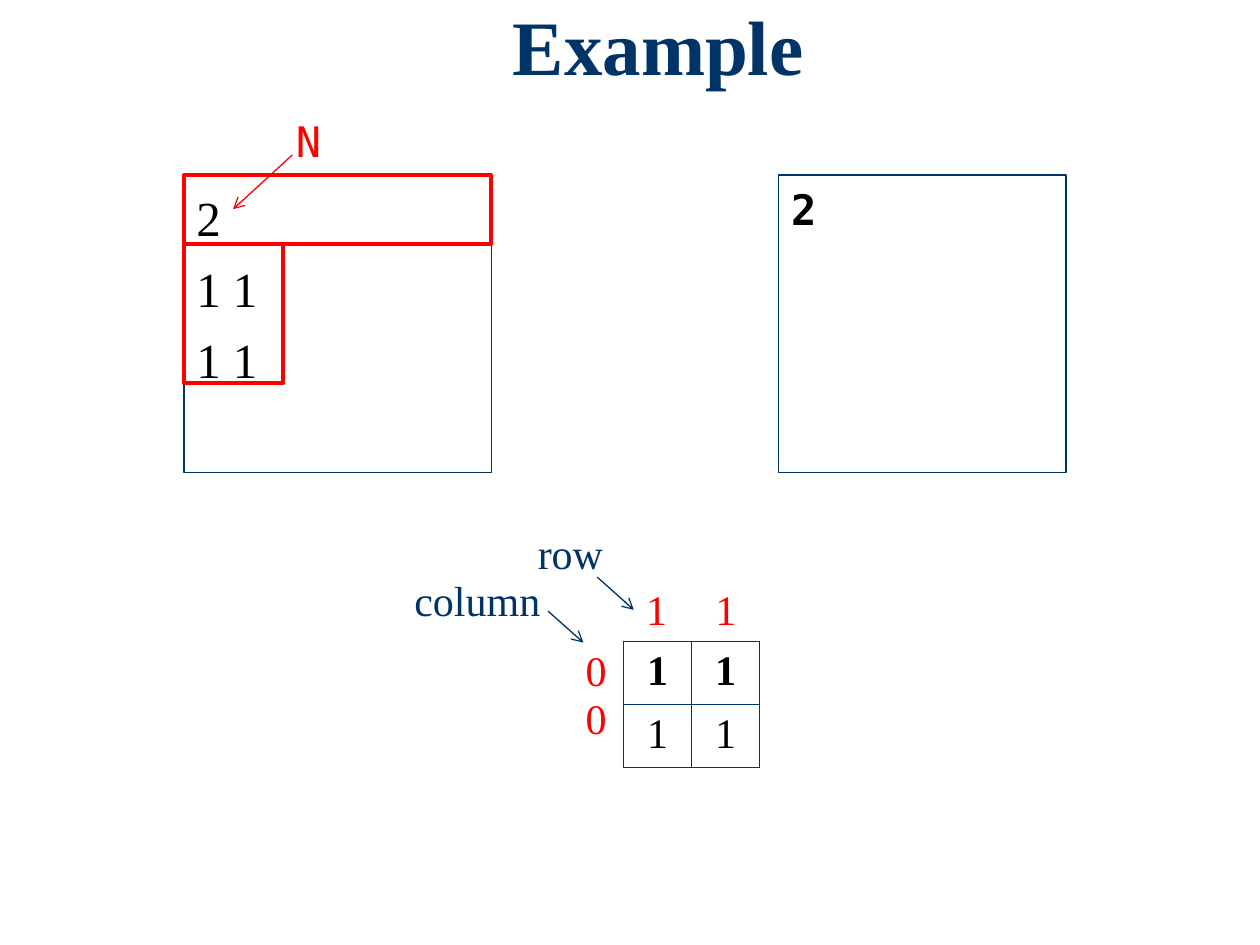
import pptx
import pptx.util
import pptx.dml.color
import pptx.enum.shapes
import pptx.enum.text
import pptx.oxml.ns
from lxml import etree

Inches, Pt = pptx.util.Inches, pptx.util.Pt
SHAPE = pptx.enum.shapes.MSO_SHAPE
ALIGN = pptx.enum.text.PP_ALIGN
ANCHOR = pptx.enum.text.MSO_ANCHOR
qn = pptx.oxml.ns.qn

THEME = {
    "navy": "003366", "red": "FF0000", "black": "000000", "white": "FFFFFF",
    "serif": "Times New Roman", "mono": "DejaVu Sans Mono",
    "title": 44, "input": 28, "label": 24,
    "thin": 0.75, "grid": 1, "thick": 2.25,
}

# Content: positions are in inches
TITLE = "Example"
BOX_TOP, BOX_H = 1.39, 2.36
INPUT_X, INPUT_W = 1.46, 2.44
OUTPUT_X, OUTPUT_W = 6.18, 2.28
INPUT_LINES = ["2", "1 1", "1 1"]
OUTPUT_LINES = ["2"]
LINE_H = 0.55
HIGHLIGHTS = [(0, 1, INPUT_W), (1, 2, 0.79)]  # first line, line count, width
MATRIX = [["1", "1"], ["1", "1"]]
MATRIX_X, MATRIX_Y, COL_W, ROW_H = 4.95, 5.09, 0.54, 0.5
LABELS = [  # text, left, top, width, colour, font
    ("N", 2.25, 0.87, 0.45, "red", "mono"),
    ("1", 5.03, 4.58, 0.37, "red", "serif"),
    ("1", 5.58, 4.58, 0.37, "red", "serif"),
    ("0", 4.55, 5.07, 0.37, "red", "serif"),
    ("0", 4.55, 5.45, 0.37, "red", "serif"),
    ("row", 4.17, 4.14, 0.73, "navy", "serif"),
    ("column", 3.19, 4.51, 1.21, "navy", "serif"),
]
ARROWS = [  # x1, y1, x2, y2, colour
    (2.32, 1.23, 1.85, 1.66, "red"),
    (4.74, 4.58, 5.03, 4.84, "navy"),
    (4.35, 4.85, 4.63, 5.10, "navy"),
]


def rgb(name):
    return pptx.dml.color.RGBColor.from_string(THEME[name])


def write(tf, lines, size="label", color="black", font="serif", bold=False,
          align=ALIGN.LEFT, gap=0, spacing=None):
    for i, line in enumerate(lines):
        p = tf.add_paragraph() if i else tf.paragraphs[0]
        p.alignment = align
        p.space_before = Pt(gap if i else 0)
        if spacing:
            p.line_spacing = spacing
        r = p.add_run()
        r.text = line
        r.font.size, r.font.bold = Pt(THEME[size]), bold
        r.font.name, r.font.color.rgb = THEME[font], rgb(color)


def add_box(s, x, y, w, h, line, weight, fill=None):
    sp = s.shapes.add_shape(SHAPE.RECTANGLE, Inches(x), Inches(y), Inches(w), Inches(h))
    sp.shadow.inherit = False
    if fill:
        sp.fill.solid()
        sp.fill.fore_color.rgb = rgb(fill)
    else:
        sp.fill.background()
    sp.line.color.rgb, sp.line.width = rgb(line), Pt(THEME[weight])
    return sp


def add_panel(s, x, w, lines, inset, **fmt):
    tf = add_box(s, x, BOX_TOP, w, BOX_H, "navy", "thin", "white").text_frame
    tf.word_wrap, tf.vertical_anchor = True, ANCHOR.TOP
    tf.margin_top = Inches(inset)
    write(tf, lines, **fmt)


def add_label(s, text, x, y, w, color, font):
    tf = s.shapes.add_textbox(Inches(x), Inches(y), Inches(w), Inches(0.5)).text_frame
    tf.word_wrap = False
    tf.auto_size = pptx.enum.text.MSO_AUTO_SIZE.SHAPE_TO_FIT_TEXT
    write(tf, [text], color=color, font=font)


def add_arrow(s, x1, y1, x2, y2, color):
    c = s.shapes.add_connector(pptx.enum.shapes.MSO_CONNECTOR.STRAIGHT,
                               *map(Inches, (x1, y1, x2, y2)))
    c.line.color.rgb, c.line.width = rgb(color), Pt(THEME["thin"])
    etree.SubElement(c.line._get_or_add_ln(), qn("a:tailEnd"), type="arrow")
    etree.SubElement(c._element.spPr, qn("a:effectLst"))


def add_borders(cell):
    tcPr = cell._tc.get_or_add_tcPr()
    for i, side in enumerate(("lnL", "lnR", "lnT", "lnB")):
        ln = etree.Element(qn("a:" + side), w=str(Pt(THEME["grid"])))
        fill = etree.SubElement(ln, qn("a:solidFill"))
        etree.SubElement(fill, qn("a:srgbClr"), val=THEME["navy"])
        tcPr.insert(i, ln)


def add_matrix(s):
    rows, cols = len(MATRIX), len(MATRIX[0])
    table = s.shapes.add_table(rows, cols, Inches(MATRIX_X), Inches(MATRIX_Y),
                               Inches(cols * COL_W), Inches(rows * ROW_H)).table
    for col in table.columns:
        col.width = Inches(COL_W)
    for i, values in enumerate(MATRIX):
        table.rows[i].height = Inches(ROW_H)
        for j, value in enumerate(values):
            cell = table.cell(i, j)
            cell.fill.solid()
            cell.fill.fore_color.rgb = rgb("white")
            add_borders(cell)
            write(cell.text_frame, [value], bold=i == 0, align=ALIGN.CENTER)


def main():
    prs = pptx.Presentation()
    prs.slide_width, prs.slide_height = Inches(10), Inches(7.5)
    s = prs.slides.add_slide(prs.slide_layouts[5])

    # Title
    title = s.shapes.title
    title.left, title.top, title.width, title.height = map(Inches, (2.64, -0.03, 5.17, 0.92))
    tf = title.text_frame
    tf.auto_size = pptx.enum.text.MSO_AUTO_SIZE.NONE
    tf.vertical_anchor, tf.margin_bottom = ANCHOR.MIDDLE, Inches(0.11)
    write(tf, [TITLE], size="title", color="navy", bold=True,
          align=ALIGN.CENTER, spacing=0.9)

    # Input and output panels
    add_panel(s, INPUT_X, INPUT_W, INPUT_LINES, 0.1, size="input", gap=7)
    add_panel(s, OUTPUT_X, OUTPUT_W, OUTPUT_LINES, 0.07, font="mono", bold=True)

    # Highlighted input lines
    for first, count, width in HIGHLIGHTS:
        add_box(s, INPUT_X, BOX_TOP + first * LINE_H, width, count * LINE_H, "red", "thick")

    # Matrix with its labels and arrows
    add_matrix(s)
    for label in LABELS:
        add_label(s, *label)
    for arrow in ARROWS:
        add_arrow(s, *arrow)

    prs.save("out.pptx")


if __name__ == "__main__":
    main()
